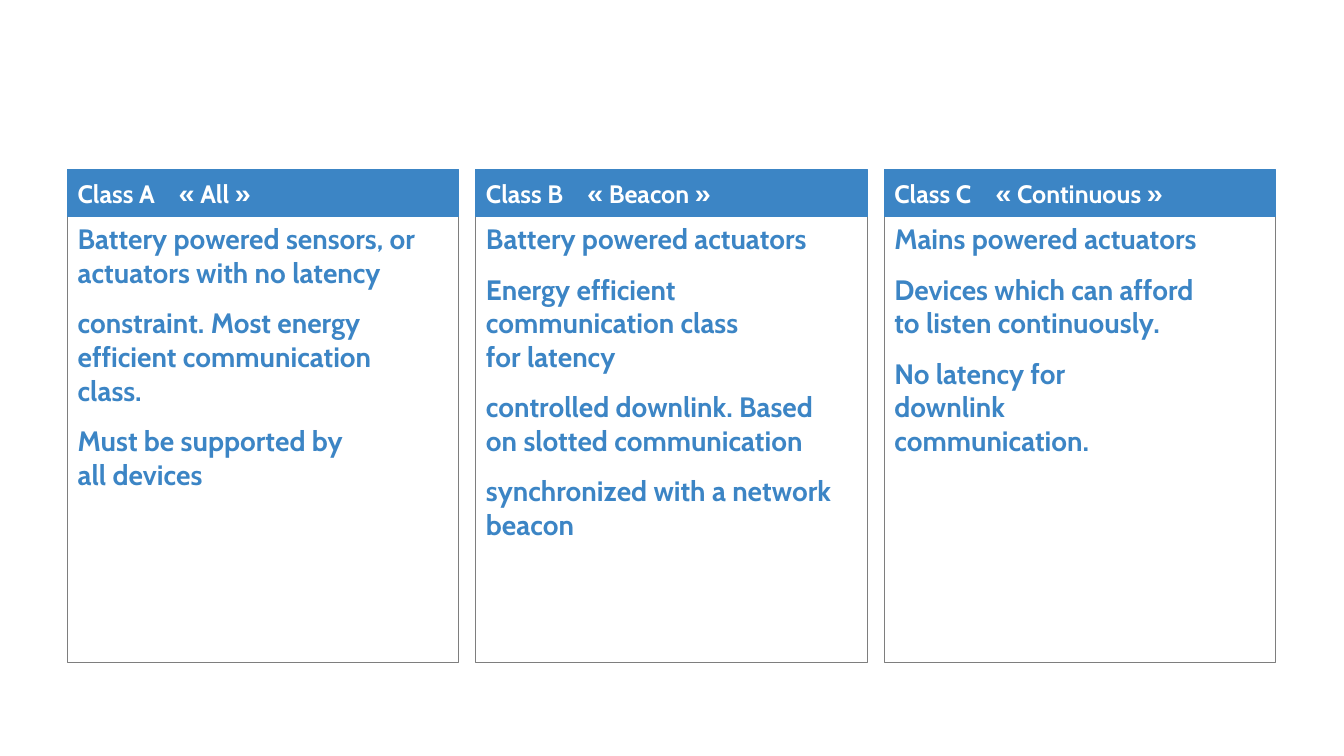
from lxml import etree
from pptx import Presentation
from pptx.dml.color import RGBColor
from pptx.enum.shapes import MSO_SHAPE
from pptx.enum.text import MSO_AUTO_SIZE
from pptx.oxml.ns import qn
from pptx.util import Inches, Pt

RECT = MSO_SHAPE.RECTANGLE
GROW = MSO_AUTO_SIZE.SHAPE_TO_FIT_TEXT
BLUE = RGBColor(0x3C, 0x85, 0xC5)
GREY = RGBColor(0x7E, 0x7E, 0x7E)
WHITE = RGBColor(0xFF, 0xFF, 0xFF)

LEFT, PITCH, WIDTH = 0.67, 4.05, 3.88

CARDS = [
    ("Class A\t« All »", 3.46, [
        ("Battery powered sensors, or\nactuators with no latency", 9.4),
        ("constraint. Most energy", 12),
        ("efficient communication\nclass.", 0),
        ("Must be supported by\nall devices", 12),
    ]),
    ("Class B\t« Beacon »", 3.63, [
        ("Battery powered actuators", 9.4),
        ("Energy efficient\ncommunication class\nfor latency", 12),
        ("controlled downlink. Based\non slotted communication", 12),
        ("synchronized with a network\nbeacon", 12),
    ]),
    ("Class C\t« Continuous »", 2.79, [
        ("Mains powered actuators", 9.4),
        ("Devices which can afford\nto listen continuously.", 12),
        ("No latency for\ndownlink\ncommunication.", 12),
    ]),
]


def add_box(slide, left, top, height, line, fill=None):
    box = slide.shapes.add_shape(
        RECT, Inches(left), Inches(top), Inches(WIDTH), Inches(height))
    box.shadow.inherit = False
    if fill is None:
        box.fill.background()
    else:
        box.fill.solid()
        box.fill.fore_color.rgb = fill
    box.line.color.rgb = line
    box.line.width = Pt(0.72)


def add_tab(para, pos):
    props = para._p.get_or_add_pPr()
    tabs = etree.SubElement(props, qn("a:tabLst"))
    etree.SubElement(tabs, qn("a:tab"), pos=str(Inches(pos)), algn="l")


def set_font(para, size, color):
    para.font.name = "Cabin"
    para.font.size = Pt(size)
    para.font.bold = True
    para.font.color.rgb = color


def add_text(slide, left, height, title, notes):
    box = slide.shapes.add_textbox(
        Inches(left), Inches(1.77), Inches(3.61), Inches(height))
    frame = box.text_frame
    frame.word_wrap = True
    frame.auto_size = GROW
    frame.margin_left = frame.margin_right = Inches(0)
    frame.margin_top = frame.margin_bottom = Inches(0)
    head = frame.paragraphs[0]
    head.text = title
    add_tab(head, 1.01)
    set_font(head, 18, WHITE)
    for text, gap in notes:
        para = frame.add_paragraph()
        para.text = text
        para.space_before = Pt(gap)
        set_font(para, 20, BLUE)


def add_card(slide, left, title, height, notes):
    add_box(slide, left, 1.93, 4.64, GREY)
    add_box(slide, left, 1.68, 0.47, BLUE, BLUE)
    add_text(slide, left + 0.1, height, title, notes)


def main():
    deck = Presentation()
    deck.slide_width = Inches(13.33)
    deck.slide_height = Inches(7.5)
    slide = deck.slides.add_slide(deck.slide_layouts[6])
    for col, (title, height, notes) in enumerate(CARDS):
        add_card(slide, LEFT + col * PITCH, title, height, notes)
    deck.save("out.pptx")


if __name__ == "__main__":
    main()
